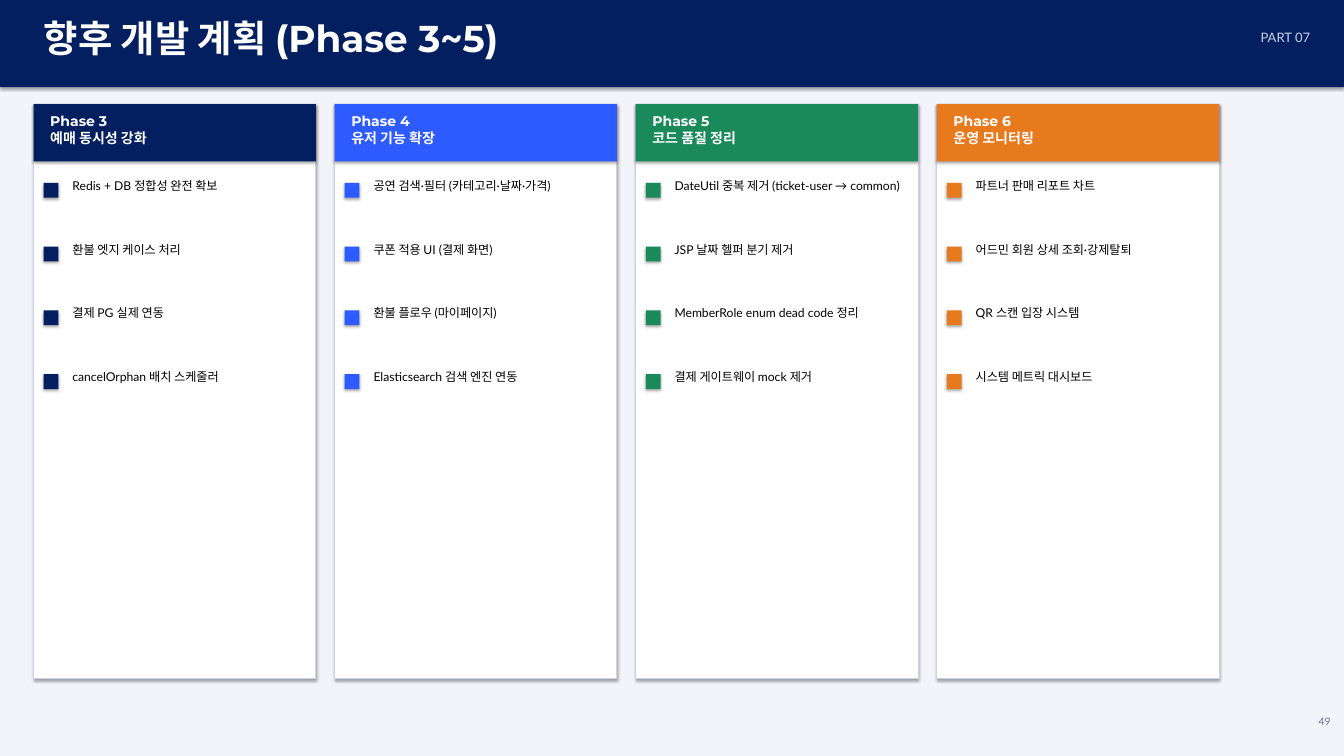
from collections import namedtuple

from pptx import Presentation
from pptx.dml.color import RGBColor
from pptx.enum.shapes import MSO_SHAPE as Preset
from pptx.enum.text import MSO_ANCHOR as Anchor, MSO_AUTO_SIZE as AutoSize, PP_ALIGN as Align
from pptx.util import Cm, Pt

Box = namedtuple("Box", "left top width height")

COLORS = {
    "background": "F3F4FA", "navy": "041F60", "blue": "2E5BFF", "green": "1B8A5A",
    "orange": "E87A1E", "white": "FFFFFF", "black": "000000", "pale": "CCD0E8",
    "slate": "667198",
}
HEADING_FONT, BODY_FONT = "Montserrat", "Lato"

PHASES = [
    ("Phase 3", "예매 동시성 강화", "navy",
     ["Redis + DB 정합성 완전 확보", "환불 엣지 케이스 처리",
      "결제 PG 실제 연동", "cancelOrphan 배치 스케줄러"]),
    ("Phase 4", "유저 기능 확장", "blue",
     ["공연 검색·필터 (카테고리·날짜·가격)", "쿠폰 적용 UI (결제 화면)",
      "환불 플로우 (마이페이지)", "Elasticsearch 검색 엔진 연동"]),
    ("Phase 5", "코드 품질 정리", "green",
     ["DateUtil 중복 제거 (ticket-user → common)", "JSP 날짜 헬퍼 분기 제거",
      "MemberRole enum dead code 정리", "결제 게이트웨이 mock 제거"]),
    ("Phase 6", "운영 모니터링", "orange",
     ["파트너 판매 리포트 차트", "어드민 회원 상세 조회·강제탈퇴",
      "QR 스캔 입장 시스템", "시스템 메트릭 대시보드"]),
]


def color(name):
    return RGBColor.from_string(COLORS[name])


def inside(box, left, top, width, height):
    """Return a box whose offset is measured from the corner of another box."""
    return Box(box.left + left, box.top + top, width, height)


def add_panel(slide, box, fill, line=None):
    """Add a rectangle that keeps the theme's soft shadow."""
    shape = slide.shapes.add_shape(Preset.RECTANGLE, *map(Cm, box))
    shape.fill.solid()
    shape.fill.fore_color.rgb = color(fill)
    if line:
        shape.line.color.rgb = color(line)
        shape.line.width = Pt(1)
    else:
        shape.line.fill.background()


def write(shape, lines, size, font, ink, bold=False, align=Align.LEFT):
    """Write one paragraph, with a line break between lines."""
    frame = shape.text_frame
    frame.word_wrap = True
    frame.auto_size = AutoSize.SHAPE_TO_FIT_TEXT
    frame.vertical_anchor = Anchor.TOP
    paragraph = frame.paragraphs[0]
    paragraph.alignment = align
    for index, line in enumerate(lines):
        if index:
            paragraph.add_line_break()
        run = paragraph.add_run()
        run.text = line
        run.font.size = Pt(size)
        run.font.name = font
        run.font.bold = bold
        run.font.color.rgb = color(ink)


def add_text(slide, box, lines, size, font, ink, **style):
    write(slide.shapes.add_textbox(*map(Cm, box)), lines, size, font, ink, **style)


def add_header(slide, box, title_text, part):
    add_panel(slide, box, "navy")
    title = slide.shapes.title
    slide.shapes._spTree.append(title._element)  # bring the title in front of the band
    title_box = inside(box, 1.4, 0.46, 35.56, 2.41)
    title.left, title.top, title.width, title.height = map(Cm, title_box)
    write(title, [title_text], 40, HEADING_FONT, "white", bold=True)
    add_text(slide, inside(box, 40.13, 0.97, 9.65, 1.52), [part], 14, BODY_FONT, "pale",
             align=Align.RIGHT)


def add_phase(slide, box, name, theme, accent, tasks):
    add_panel(slide, box, "white", line="pale")
    add_panel(slide, box._replace(height=2.16), accent)
    add_text(slide, inside(box, 0.38, 0.2, 9.91, 1.78), [name, theme], 15, HEADING_FONT,
             "white", bold=True)
    for index, task in enumerate(tasks):
        row = inside(box, 0.38, 2.67 + index * 2.413, 9.86, 2.08)
        add_panel(slide, inside(row, 0, 0.3, 0.56, 0.56), accent)
        add_text(slide, inside(row, 0.84, 0, 9.02, 2.08), [task], 13, BODY_FONT, "black")


def main():
    presentation = Presentation()
    presentation.slide_width, presentation.slide_height = Cm(50.8), Cm(28.58)
    slide = presentation.slides.add_slide(presentation.slide_layouts[5])
    slide.background.fill.solid()
    slide.background.fill.fore_color.rgb = color("background")

    add_header(slide, Box(0, 0, 50.8, 3.3), "향후 개발 계획 (Phase 3~5)", "PART 07")
    for index, phase in enumerate(PHASES):
        add_phase(slide, Box(1.27 + index * 11.38, 3.94, 10.67, 21.72), *phase)
    add_text(slide, Box(49.02, 26.92, 1.52, 1.02), ["49"], 11, BODY_FONT, "slate",
             align=Align.RIGHT)
    presentation.save("out.pptx")


if __name__ == "__main__":
    main()
